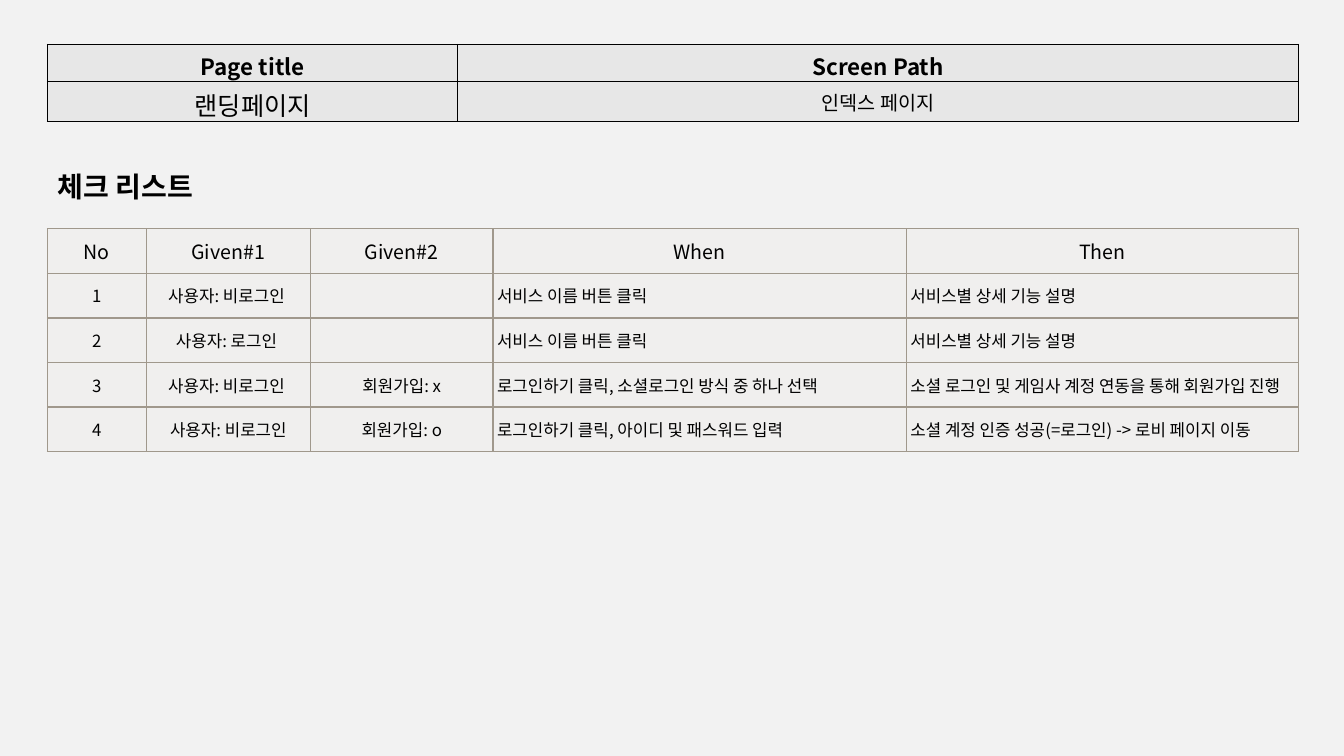
from dataclasses import dataclass

from lxml.etree import SubElement
from pptx import Presentation
from pptx.dml.color import RGBColor
from pptx.enum.text import MSO_ANCHOR as Anchor, MSO_AUTO_SIZE as AutoSize, PP_ALIGN as Align
from pptx.oxml.ns import qn
from pptx.util import Emu, Inches, Pt

BACKGROUND = RGBColor(0xF2, 0xF2, 0xF2)
BLACK = RGBColor(0x00, 0x00, 0x00)
HEADER_FILL = RGBColor(0xE7, 0xE7, 0xE7)
CHECK_FILL = RGBColor(0xF0, 0xEF, 0xEE)
CHECK_LINE = RGBColor(0xA0, 0x98, 0x8C)
FONT = "Noto Sans CJK KR"
WIDTH, HEIGHT = Inches(13.33), Inches(7.5)
LEFT = 3.53


@dataclass
class Style:
    size: float
    align: Align = Align.CENTER
    bold: bool = False


@dataclass
class Grid:
    top: float
    height: float
    cols: list[float]
    rows: list[float]
    texts: list[list[str]]
    styles: list[list[Style]]
    margins: list[tuple[float, float]]
    fill: RGBColor
    line: RGBColor


def across(percent: float) -> Emu:
    return Emu(round(WIDTH * percent / 100))


def down(percent: float) -> Emu:
    return Emu(round(HEIGHT * percent / 100))


def write(tf, text: str, style: Style) -> None:
    p = tf.paragraphs[0]
    p.alignment = style.align
    if not text:
        p.font.size = Pt(style.size)
        return
    r = p.add_run()
    r.text = text
    r.font.size = Pt(style.size)
    r.font.bold = style.bold
    r.font.color.rgb = BLACK
    r.font.name = FONT
    SubElement(r.font._element, qn("a:ea"), typeface=FONT)


def add_borders(cell, color: RGBColor) -> None:
    tc_pr = cell._tc.get_or_add_tcPr()
    for side in ("lnL", "lnR", "lnT", "lnB"):
        ln = SubElement(tc_pr, qn(f"a:{side}"), w=str(Pt(1)))
        solid = SubElement(ln, qn("a:solidFill"))
        SubElement(solid, qn("a:srgbClr"), val=str(color))


def add_grid(s, grid: Grid) -> None:
    frame = s.shapes.add_table(len(grid.rows), len(grid.cols), across(LEFT), down(grid.top),
                               across(sum(grid.cols)), down(grid.height))
    table = frame.table
    table.first_row = table.horz_banding = False
    for col, share in zip(table.columns, grid.cols):
        col.width = across(share)
    for row, share in zip(table.rows, grid.rows):
        row.height = down(share)
    frame.height = down(grid.height)
    for row, texts, styles, (side, edge) in zip(table.rows, grid.texts, grid.styles, grid.margins):
        for cell, text, style in zip(row.cells, texts, styles):
            add_borders(cell, grid.line)
            cell.fill.solid()
            cell.fill.fore_color.rgb = grid.fill
            cell.vertical_anchor = Anchor.MIDDLE
            cell.margin_left = cell.margin_right = Inches(side)
            cell.margin_top = cell.margin_bottom = Inches(edge)
            write(cell.text_frame, text, style)


def add_heading(s, text: str) -> None:
    sp = s.shapes.title
    sp.left, sp.top, sp.width, sp.height = across(LEFT), down(21.73), across(22.58), down(5.87)
    tf = sp.text_frame
    tf.word_wrap = True
    tf.auto_size = AutoSize.SHAPE_TO_FIT_TEXT
    tf.vertical_anchor = Anchor.TOP
    write(tf, text, Style(20, Align.LEFT, True))


PAGE_INFO = Grid(
    top=5.87, height=10.27, cols=[30.53, 62.57], rows=[2.93, 2.53],
    texts=[["Page title", "Screen Path"], ["랜딩페이지", "인덱스 페이지"]],
    styles=[[Style(16, bold=True)] * 2, [Style(18), Style(14)]],
    margins=[(0.11, 0.05)] * 2, fill=HEADER_FILL, line=BLACK,
)

CHECKLIST = Grid(
    top=30.27, height=29.5, cols=[7.35, 12.23, 13.58, 30.76, 29.18], rows=[5.9] * 5,
    texts=[
        ["No", "Given#1", "Given#2", "When", "Then"],
        ["1", "사용자: 비로그인 ", "", "서비스 이름 버튼 클릭", "서비스별 상세 기능 설명"],
        ["2", "사용자: 로그인 ", "", "서비스 이름 버튼 클릭", "서비스별 상세 기능 설명"],
        ["3", "사용자: 비로그인 ", "회원가입: x", "로그인하기 클릭, 소셜로그인 방식 중 하나 선택",
         "소셜 로그인 및 게임사 계정 연동을 통해 회원가입 진행"],
        ["4", "사용자: 비로그인", "회원가입: o", "로그인하기 클릭, 아이디 및 패스워드 입력",
         "소셜 계정 인증 성공(=로그인) -> 로비 페이지 이동"],
    ],
    styles=[[Style(14)] * 5] + [[Style(12)] * 3 + [Style(12, Align.LEFT)] * 2] * 4,
    margins=[(0.04, 0.02)] + [(0.04, 0.01)] * 4, fill=CHECK_FILL, line=CHECK_LINE,
)


def main() -> None:
    prs = Presentation()
    prs.slide_width, prs.slide_height = WIDTH, HEIGHT
    s = prs.slides.add_slide(prs.slide_layouts[5])
    s.background.fill.solid()
    s.background.fill.fore_color.rgb = BACKGROUND
    add_heading(s, "체크 리스트")
    for grid in (PAGE_INFO, CHECKLIST):
        add_grid(s, grid)
    prs.save("out.pptx")


if __name__ == "__main__":
    main()
